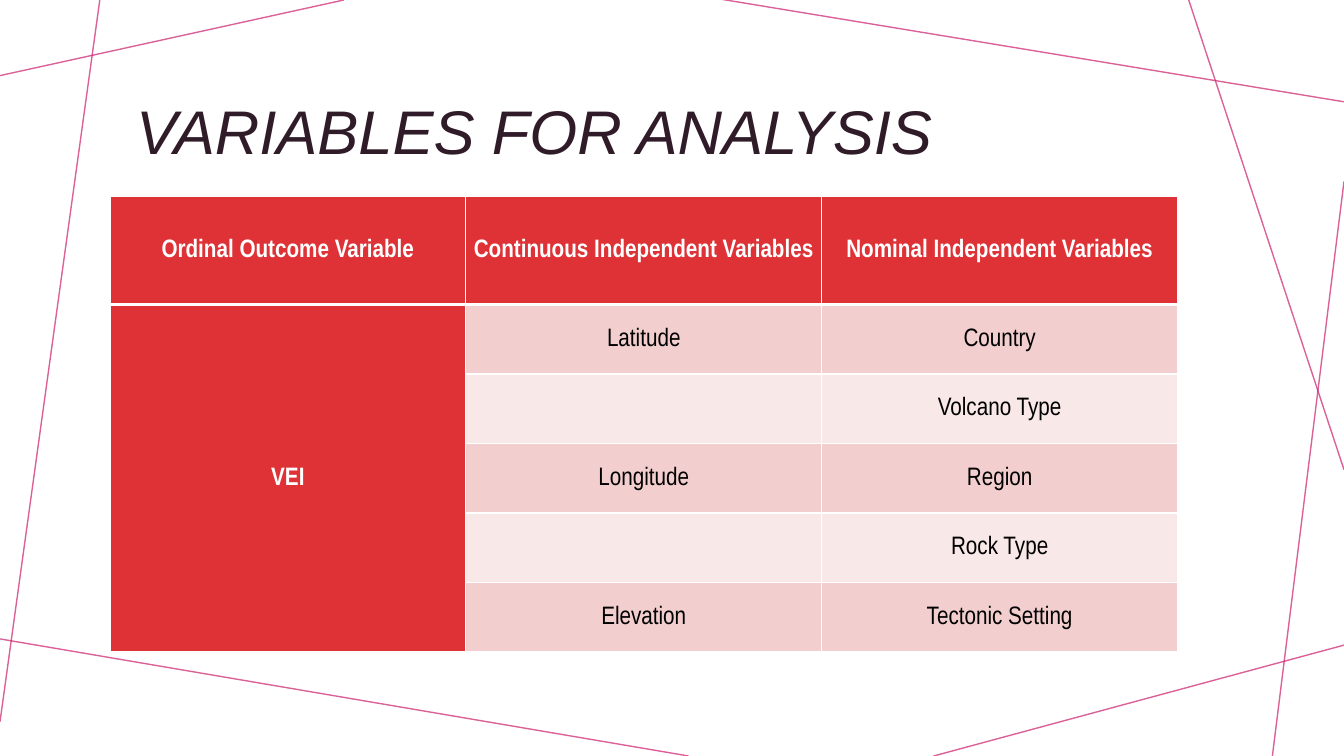
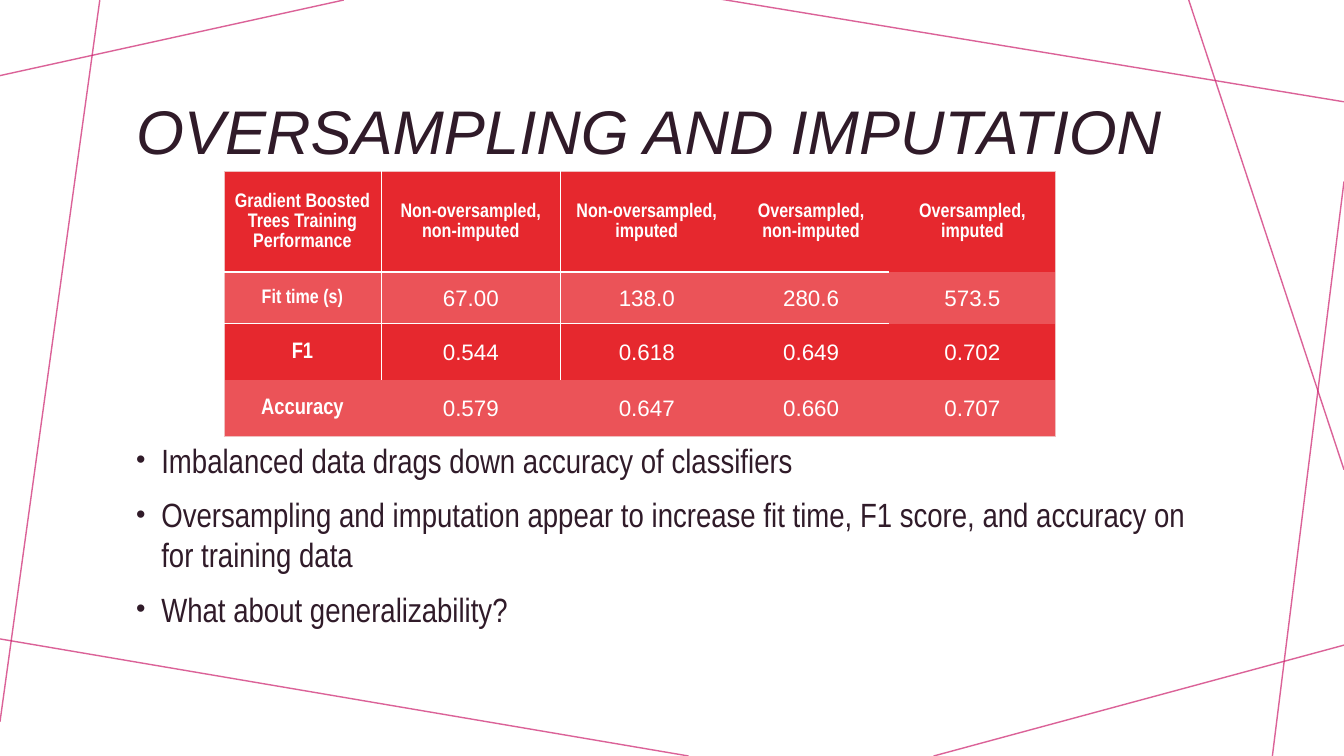
"""Build two slides about the variables and the training results of a volcano study."""
from lxml import etree
from pptx import Presentation
from pptx.dml.color import RGBColor
from pptx.enum import shapes, text
from pptx.oxml import ns
from pptx.util import Inches, Pt

WHITE, INK, PINK = "FFFFFF", "301B29", "CC206D"
NO_GRID_STYLE = "{2D5ABB26-0587-4C30-8999-92F81FD0307C}"


def colour(hex_string):
    return RGBColor.from_string(hex_string)


def write(frame, content, font="Arial Narrow", size=18, ink=INK, bold=False, italic=False,
          align=text.PP_ALIGN.LEFT, line=1.0, before=0, bullet=None):
    frame.word_wrap = True
    frame.text = content
    for index, paragraph in enumerate(frame.paragraphs):
        paragraph.alignment = align
        paragraph.line_spacing = line
        paragraph.space_before = Pt(before if index else 0)
        if bullet:
            properties = paragraph.runs[0].font and paragraph.runs[0]._r.getparent().get_or_add_pPr()
            properties.set("marL", str(Inches(0.25)))
            properties.set("indent", str(-Inches(0.25)))
            etree.SubElement(properties, ns.qn("a:buSzPct"), val="80000")
            etree.SubElement(properties, ns.qn("a:buFont"), typeface="Arial")
            etree.SubElement(properties, ns.qn("a:buChar"), char=bullet)
        for run in paragraph.runs:
            run.font.name = font
            run.font.size = Pt(size)
            run.font.bold = bold
            run.font.italic = italic
            run.font.color.rgb = colour(ink)


presentation = Presentation()
presentation.slide_width = Inches(13.33)
presentation.slide_height = Inches(7.5)
title_only = presentation.slide_layouts[5]
title_and_content = presentation.slide_layouts[1]

variables_slide = presentation.slides.add_slide(title_only)
results_slide = presentation.slides.add_slide(title_and_content)

master_lines = [
    (3.41, 0, 0, 0.75),
    (0.99, 0, 0, 7.16),
    (6.83, 7.5, -0.05, 6.33),
    (13.33, 6.4, 9.26, 7.5),
    (13.33, 1.8, 12.62, 7.5),
    (13.33, 4.66, 11.79, 0),
    (13.33, 1.01, 7.14, -0.01),
]
for number, ends in enumerate(master_lines, start=101):
    connector = variables_slide.shapes.add_connector(
        shapes.MSO_CONNECTOR.STRAIGHT, *[Inches(value) for value in ends])
    connector.line.color.rgb = colour(PINK)
    connector.line.width = Pt(1)
    line_colour = connector.element.xpath(".//a:srgbClr")[0]
    etree.SubElement(line_colour, ns.qn("a:alpha"), val="70000")
    etree.SubElement(connector.element.spPr, ns.qn("a:effectLst"))
    connector.element.xpath(".//p:cNvPr")[0].set("id", str(number))
    presentation.slide_master.shapes.element.append(connector.element)

titles = [
    (variables_slide, "VARIABLES FOR ANALYSIS"),
    (results_slide, "OVERSAMPLING AND IMPUTATION"),
]
for slide, heading in titles:
    title = slide.shapes.title
    title.left, title.top = Inches(1.25), Inches(0.58)
    title.width, title.height = Inches(10.83), Inches(1.51)
    title.text_frame.auto_size = text.MSO_AUTO_SIZE.NONE
    title.text_frame.vertical_anchor = text.MSO_ANCHOR.MIDDLE
    write(title.text_frame, heading, font="Arial", size=44, italic=True, line=0.9)

body = results_slide.placeholders[1]
body.left, body.top = Inches(1.25), Inches(4.31)
body.width, body.height = Inches(10.83), Inches(2.6)
body.text_frame.auto_size = text.MSO_AUTO_SIZE.NONE
findings = [
    "Imbalanced data drags down accuracy of classifiers",
    "Oversampling and imputation appear to increase fit time, F1 score, and accuracy on for training data",
    "What about generalizability?",
]
write(body.text_frame, "\n".join(findings), size=24, before=10, bullet="•")

variables = [
    ["Ordinal Outcome Variable", "Continuous Independent Variables", "Nominal Independent Variables"],
    ["VEI", "Latitude", "Country"],
    ["", "", "Volcano Type"],
    ["", "Longitude", "Region"],
    ["", "", "Rock Type"],
    ["", "Elevation", "Tectonic Setting"],
]
variable_borders = {(row, column, side): (WHITE, 1)
                    for row in range(6) for column in range(3) for side in "LRTB"}
for column in range(3):
    variable_borders[0, column, "B"] = variable_borders[1, column, "T"] = (WHITE, 3)

results = [
    ["Gradient Boosted Trees Training Performance", "Non-oversampled, non-imputed",
     "Non-oversampled, imputed", "Oversampled,\nnon-imputed", "Oversampled, imputed"],
    ["Fit time (s)", "67.00", "138.0", "280.6", "573.5"],
    ["F1", "0.544", "0.618", "0.649", "0.702"],
    ["Accuracy", "0.579", "0.647", "0.660", "0.707"],
]
result_borders = {}
for row in range(4):
    result_borders[row, 0, "L"] = result_borders[row, 4, "R"] = ("EFBFBF", 0.5)
    if row < 3:
        result_borders[row, 0, "R"] = result_borders[row, 1, "L"] = (WHITE, 1)
for column in range(5):
    result_borders[0, column, "T"] = result_borders[3, column, "B"] = ("EFBFBF", 0.5)
    if column < 4:
        result_borders[0, column, "B"] = result_borders[1, column, "T"] = (WHITE, 1.5)

tables = [
    dict(slide=variables_slide, at=(1.09, 1.95), widths=[3.53] * 3, heights=[1.07] + [0.69] * 5,
         rows=variables, borders=variable_borders, head="DE3237", label="DE3237",
         bands=("F9E8E8", "F2CECE"), ink="000000", font="Arial Narrow", head_size=18, size=18),
    dict(slide=results_slide, at=(2.22, 1.7), widths=[1.56, 1.78, 1.71, 1.55, 1.65],
         heights=[1, 0.51, 0.56, 0.56], rows=results, borders=result_borders, head="E6282E",
         label=None, bands=("E6282E", "EB5358"), ink=WHITE, font="Arial", head_size=14, size=16),
]
for design in tables:
    widths, heights = design["widths"], design["heights"]
    frame = design["slide"].shapes.add_table(
        len(heights), len(widths), *[Inches(value) for value in design["at"]],
        Inches(sum(widths)), Inches(sum(heights)))
    frame.element.xpath(".//a:tableStyleId")[0].text = NO_GRID_STYLE
    table = frame.table
    for table_column, width in zip(table.columns, widths):
        table_column.width = Inches(width)
    for table_row, height in zip(table.rows, heights):
        table_row.height = Inches(height)
    if design["slide"] is variables_slide:
        table.cell(1, 0).merge(table.cell(5, 0))

    for index, (cell, element) in enumerate(zip(table.iter_cells(), frame.element.xpath(".//a:tc"))):
        row, column = divmod(index, len(widths))
        cell.vertical_anchor = text.MSO_ANCHOR.MIDDLE
        cell.margin_left = cell.margin_right = Inches(0.07)
        cell.margin_top = cell.margin_bottom = 0
        for side in "LRTB":
            if (row, column, side) in design["borders"]:
                border_colour, points = design["borders"][row, column, side]
                border = etree.SubElement(element.tcPr, ns.qn("a:ln" + side), w=str(Pt(points)))
                fill = etree.SubElement(border, ns.qn("a:solidFill"))
                etree.SubElement(fill, ns.qn("a:srgbClr"), val=border_colour)

        is_label = row == 0 or column == 0
        band = design["bands"][row % 2]
        cell.fill.solid()
        cell.fill.fore_color.rgb = colour(
            design["head"] if row == 0 else column == 0 and design["label"] or band)
        content = design["rows"][row][column]
        if content:
            small = row == 0 or (row, column) == (1, 0)
            write(cell.text_frame, content, bold=is_label, line=1.07, align=text.PP_ALIGN.CENTER,
                  font="Arial Narrow" if is_label else design["font"],
                  size=design["head_size"] if small else design["size"],
                  ink=WHITE if is_label else design["ink"])

presentation.save("out.pptx")
